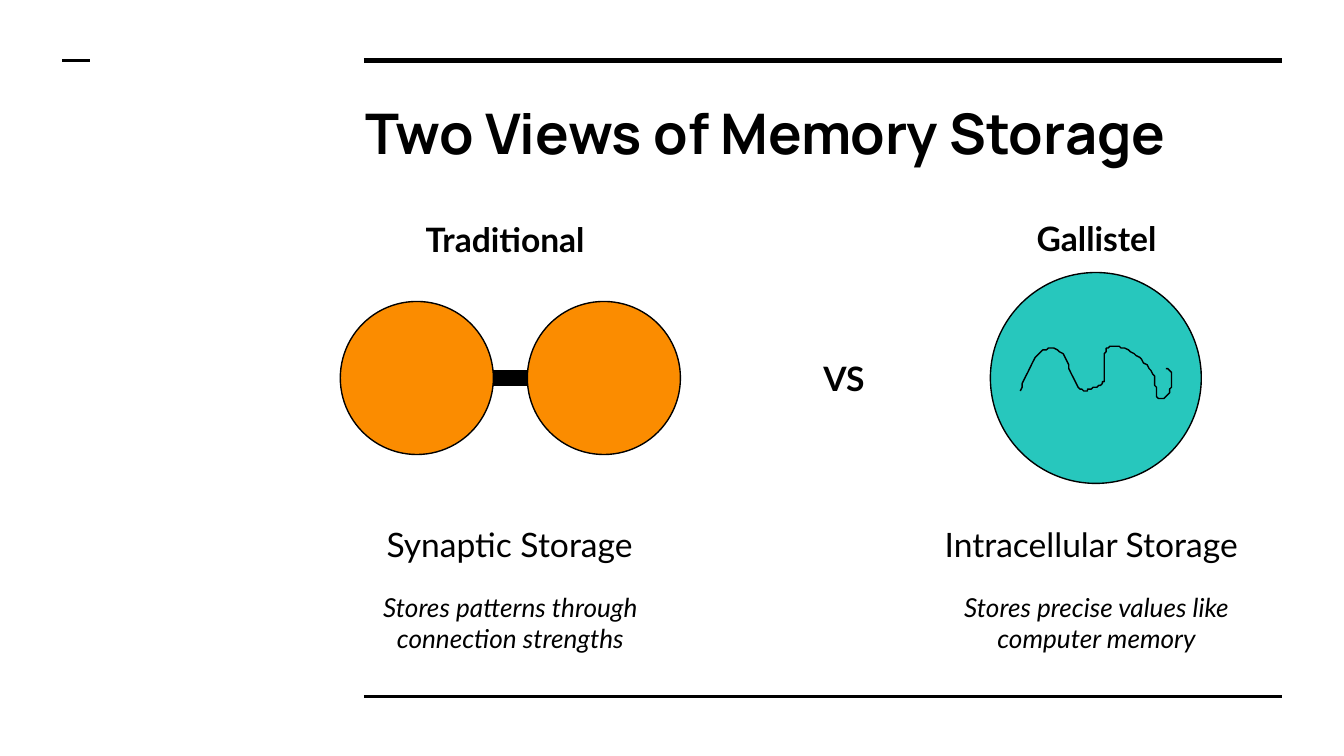
from lxml import etree
from pptx import Presentation
from pptx import util as u
from pptx.dml.color import RGBColor
from pptx.enum import shapes as sh, text as tx
from pptx.oxml.ns import qn

Pt = u.Pt
INK, WARM, TEAL = "000000", "FB8C00", "27C7BD"
LEFT, MID = tx.PP_ALIGN.LEFT, tx.PP_ALIGN.CENTER

# Cubic curve inside the cell, in points from its top left corner:
# a start, then two controls and an end for each piece
START = (0, 24)
CURVE = [
    ((3, 14), (9, -1), (18.5, 1)),
    ((27.5, 3.5), (27, 26.5), (35.5, 23.5)),
    ((39, 22.5), (44, 21.5), (45, 18)),
    ((46, 12), (43, 0), (49, 0)),
    ((58.5, 0), (67.5, 7.5), (71.5, 16.5)),
    ((73.5, 20), (71.5, 28.5), (75, 28.5)),
    ((81, 28.5), (84, 12), (78.5, 12)),
]


def color(code):
    return RGBColor.from_string(code)


def line(slide, x1, x2, y, width):
    rule = slide.shapes.add_connector(
        sh.MSO_CONNECTOR.STRAIGHT, Pt(x1), Pt(y), Pt(x2), Pt(y))
    rule.line.color.rgb = color(INK)
    rule.line.width = Pt(width)
    etree.SubElement(rule._element.spPr, qn("a:effectLst"))


def label(slide, box, words, size=18, align=LEFT, bold=False, slant=False,
          face="Lato", anchor=tx.MSO_ANCHOR.TOP):
    frame = slide.shapes.add_textbox(*map(Pt, box)).text_frame
    frame.word_wrap = True
    frame.vertical_anchor = anchor
    frame.margin_left = frame.margin_right = Pt(7.2)
    frame.margin_top = frame.margin_bottom = Pt(7.2)
    para = frame.paragraphs[0]
    para.text = words
    para.alignment = align
    font = para.font
    font.name, font.size, font.bold, font.italic = face, Pt(size), bold, slant
    font.color.rgb = color(INK)


def outline(shape, fill=None):
    shape.shadow.inherit = False
    if fill:
        shape.fill.solid()
        shape.fill.fore_color.rgb = color(fill)
    else:
        shape.fill.background()
    shape.line.color.rgb = color(INK)
    shape.line.width = Pt(0.75)


def disc(slide, x, y, size, fill):
    outline(slide.shapes.add_shape(
        sh.MSO_SHAPE.OVAL, Pt(x), Pt(y), Pt(size), Pt(size)), fill)


def bend(a, b, c, d, steps=16):
    """Points along one cubic piece, without its start."""
    for i in range(1, steps + 1):
        t = i / steps
        s = 1 - t
        yield tuple(s**3 * p + 3 * s * s * t * q + 3 * s * t * t * r + t**3 * e
                    for p, q, r, e in zip(a, b, c, d))


def pair(slide, box):
    """Two neurons joined by a synapse."""
    x, y, w, h = box
    disc(slide, x, y, h, WARM)
    line(slide, x + h, x + w - h, y + h / 2, 9)
    disc(slide, x + w - h, y, h, WARM)


def cell(slide, box):
    """One neuron with a strand inside."""
    x, y, w, h = box
    disc(slide, x, y, w, TEAL)
    dots, last = [], START
    for piece in CURVE:
        dots += bend(last, *piece)
        last = piece[-1]
    path = slide.shapes.build_freeform(*START, scale=Pt(1))
    path.add_line_segments(dots, close=False)
    outline(path.convert_to_shape(Pt(x + 16), Pt(y + 39.5)))


def column(slide, box, head, name, note, align, inset):
    """Heading above and two captions below a drawing."""
    x, y, w, h = box
    label(slide, (x + 36, y, 105, 36), head, align=align, bold=True)
    label(slide, (x + inset, y + h - 84, w - 2 * inset, 36), name)
    label(slide, (x, y + h - 48, w, 48), note, 14, MID, slant=True)


def frame(slide, box):
    """Rules and title."""
    x, y, w, h = box
    line(slide, x, x + w, y, 3)
    line(slide, x, x + w, y + h, 1.5)
    line(slide, 33.5, 48, y, 1.5)
    label(slide, (x - 6.5, y + 13.5, w + 6, 50), "Two Views of Memory Storage",
          30, bold=True, face="Manrope", anchor=tx.MSO_ANCHOR.MIDDLE)


def main():
    deck = Presentation()
    deck.slide_width, deck.slide_height = Pt(720), Pt(405)
    slide = deck.slides.add_slide(deck.slide_layouts[6])
    frame(slide, (195, 32.5, 492, 340.5))

    # Traditional view
    column(slide, (185, 110, 177, 247.5), "Traditional", "Synaptic Storage",
           "Stores patterns through connection strengths", LEFT, 15)
    pair(slide, (182.3, 161.5, 182.2, 82))

    label(slide, (434, 184.5, 42.5, 36), "VS", bold=True)

    # Gallistel view
    column(slide, (499, 109.5, 177, 248), "Gallistel", "Intracellular Storage",
           "Stores precise values like computer memory", MID, 0)
    cell(slide, (530.6, 146, 113, 113))
    deck.save("out.pptx")


if __name__ == "__main__":
    main()
